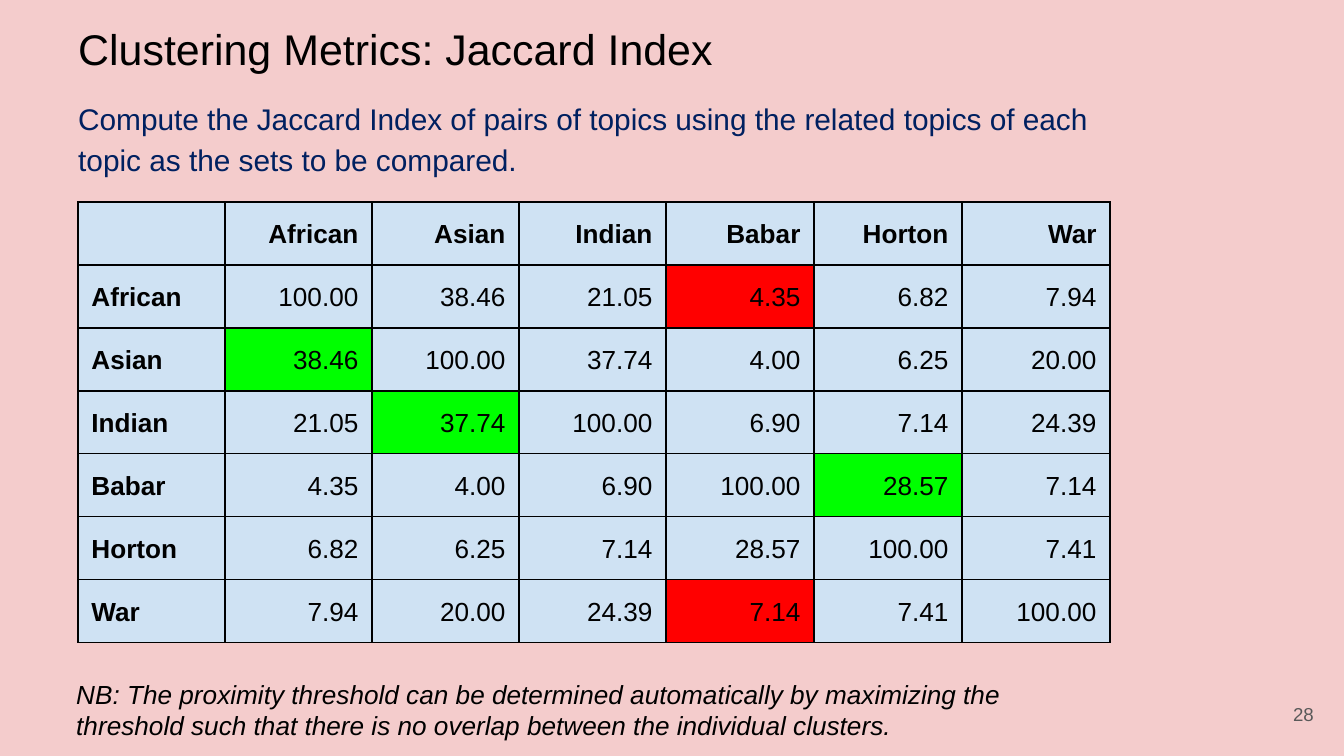
from dataclasses import dataclass

from lxml import etree
from pptx import Presentation
from pptx.dml.color import RGBColor
from pptx.enum.text import MSO_ANCHOR, MSO_AUTO_SIZE, PP_ALIGN
from pptx.oxml.ns import qn
from pptx.util import Emu, Pt

LEFT, RIGHT = PP_ALIGN.LEFT, PP_ALIGN.RIGHT
TOP, MIDDLE = MSO_ANCHOR.TOP, MSO_ANCHOR.MIDDLE
GROW, FIXED = MSO_AUTO_SIZE.SHAPE_TO_FIT_TEXT, MSO_AUTO_SIZE.NONE

SCALE = 9144000 / 1344
INSET = Pt(7.2)
FONT = "Arial"
BLACK, NAVY, GREY = "000000", "002060", "595959"
PINK, BLUE, RED, GREEN = "F4CCCC", "CFE2F3", "FF0000", "00FF00"

WIDTHS = [147] * 4 + [148] * 3
HEIGHT = 63
TOPICS = ["African", "Asian", "Indian", "Babar", "Horton", "War"]
SCORES = [
    ["100.00", "38.46", "21.05", "4.35", "6.82", "7.94"],
    ["38.46", "100.00", "37.74", "4.00", "6.25", "20.00"],
    ["21.05", "37.74", "100.00", "6.90", "7.14", "24.39"],
    ["4.35", "4.00", "6.90", "100.00", "28.57", "7.14"],
    ["6.82", "6.25", "7.14", "28.57", "100.00", "7.41"],
    ["7.94", "20.00", "24.39", "7.14", "7.41", "100.00"],
]
MARKS = {(1, 4): RED, (2, 1): GREEN, (3, 2): GREEN, (4, 5): GREEN, (6, 4): RED}


@dataclass
class Box:
    x: int
    y: int
    w: int
    h: int
    text: str
    style: dict
    anchor: MSO_ANCHOR = TOP
    fit: MSO_AUTO_SIZE = GROW


BOXES = [
    Box(1246, 685, 81, 58, "28", dict(size=10, color=GREY, align=RIGHT), MIDDLE, FIXED),
    Box(65, 82, 1062, 105,
        "Compute the Jaccard Index of pairs of topics using the related topics "
        "of each topic as the sets to be compared.",
        dict(size=16, color=NAVY, space=1.15, before=5)),
    Box(65, 9, 1149, 79, "Clustering Metrics: Jaccard Index", dict(size=23)),
    Box(63, 665, 1062, 90,
        "NB: The proximity threshold can be determined automatically by maximizing "
        "the threshold such that there is no overlap between the individual clusters.",
        dict(size=14, italic=True)),
]


def px(n: int) -> Emu:
    return Emu(round(n * SCALE))


def paint(fill, color: str) -> None:
    fill.solid()
    fill.fore_color.rgb = RGBColor.from_string(color)


def write(frame, text: str, *, size: int, color: str = BLACK, align=LEFT,
          bold: bool = False, italic: bool = False,
          space: float = 1.0, before: int = 0) -> None:
    para = frame.paragraphs[0]
    para.alignment = align
    para.line_spacing = space
    para.space_before = Pt(before)
    run = para.add_run()
    run.text = text
    font = run.font
    font.name, font.size = FONT, Pt(size)
    font.bold, font.italic = bold, italic
    font.color.rgb = RGBColor.from_string(color)


def pad(part) -> None:
    part.margin_left = part.margin_right = INSET
    part.margin_top = part.margin_bottom = INSET


def add_box(slide, box: Box) -> None:
    shape = slide.shapes.add_textbox(px(box.x), px(box.y), px(box.w), px(box.h))
    frame = shape.text_frame
    frame.word_wrap = True
    frame.auto_size = box.fit
    frame.vertical_anchor = box.anchor
    pad(frame)
    write(frame, box.text, **box.style)


def edge(cell) -> None:
    props = cell._tc.get_or_add_tcPr()
    for spot, side in enumerate(("lnL", "lnR", "lnT", "lnB")):
        line = etree.Element(qn("a:" + side), w=str(Pt(0.75)))
        fill = etree.SubElement(line, qn("a:solidFill"))
        etree.SubElement(fill, qn("a:srgbClr"), val=BLACK)
        props.insert(spot, line)


def add_grid(slide, x: int, y: int) -> None:
    rows = [["", *TOPICS]] + [[name, *vals] for name, vals in zip(TOPICS, SCORES)]
    table = slide.shapes.add_table(
        len(rows), len(WIDTHS), px(x), px(y),
        px(sum(WIDTHS)), px(HEIGHT * len(rows))).table
    table.first_row = table.horz_banding = False
    for col, width in zip(table.columns, WIDTHS):
        col.width = px(width)
    for r, row in enumerate(rows):
        table.rows[r].height = px(HEIGHT)
        for c, text in enumerate(row):
            cell = table.cell(r, c)
            paint(cell.fill, MARKS.get((r, c), BLUE))
            edge(cell)
            if text:
                pad(cell)
                write(cell.text_frame, text, size=14, space=1.15,
                      bold=r == 0 or c == 0, align=RIGHT if c else LEFT)


def main() -> None:
    """Build the Jaccard index slide."""
    deck = Presentation()
    deck.slide_width, deck.slide_height = px(1344), px(756)
    slide = deck.slides.add_slide(deck.slide_layouts[6])
    paint(slide.background.fill, PINK)
    add_grid(slide, 78, 202)
    for box in BOXES:
        add_box(slide, box)
    deck.save("out.pptx")


if __name__ == "__main__":
    main()
